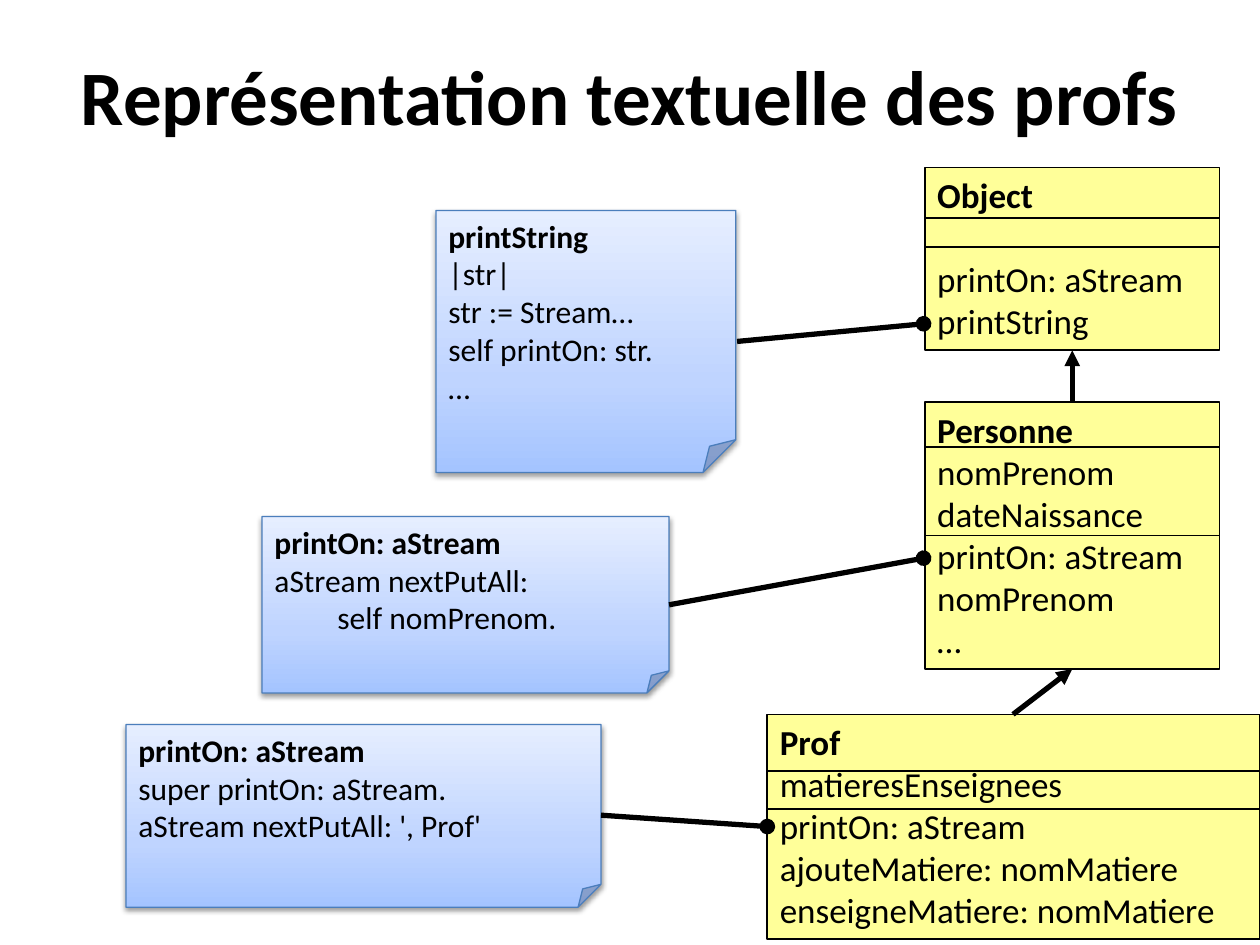
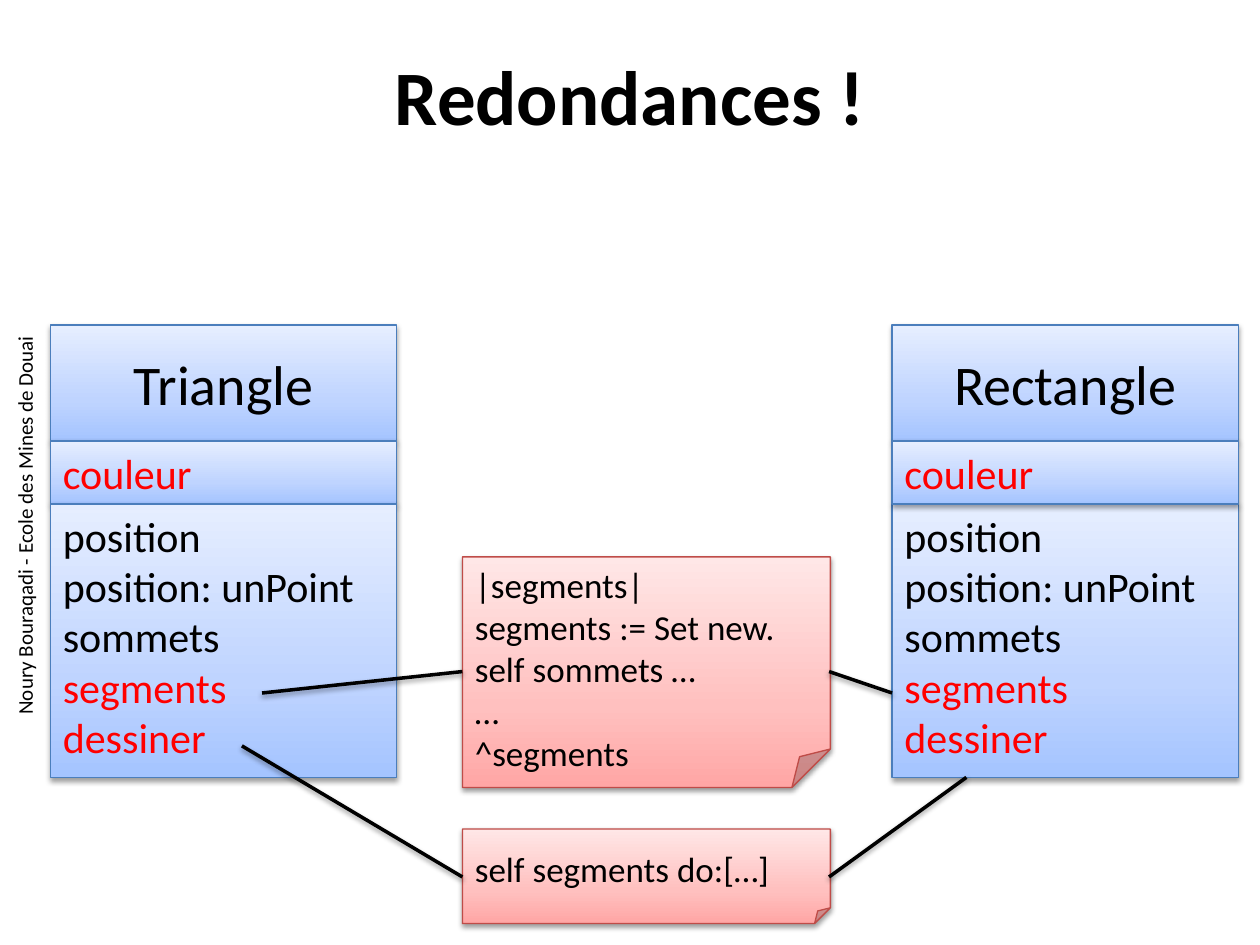
from lxml import etree
from pptx import Presentation
from pptx.dml.color import RGBColor
from pptx.enum import shapes, text
from pptx.oxml.ns import qn
from pptx.util import Inches, Pt

FONT = "Calibri"
COLORS = {"text": "000000", "shared": "FF0000", "uml": "FFFF99",
          "blue_line": "4B7EBC", "red_line": "BF4C48"}
GRADIENTS = {
    "blue": ((0, "A4C4FF"), (35, "BFD4FF"), (100, "E6EEFF")),
    "red": ((0, "FFA6A5"), (35, "FFC0BF"), (100, "FFE7E7")),
}
RECT = shapes.MSO_SHAPE.RECTANGLE
NOTE = shapes.MSO_SHAPE.FOLDED_CORNER
TOP, MIDDLE = text.MSO_ANCHOR.TOP, text.MSO_ANCHOR.MIDDLE

# Slide 1: (box, lines, indented line)
METHOD_NOTES = [
    ((3.46, 1.67, 2.38, 2.08),
     ["printString", "|str|", "str := Stream…", "self printOn: str.", "…"], None),
    ((2.08, 4.1, 3.23, 1.4),
     ["printOn: aStream", "aStream nextPutAll:", "self nomPrenom."], 2),
    ((1, 5.75, 3.77, 1.45),
     ["printOn: aStream", "super printOn: aStream.", "aStream nextPutAll: ', Prof'"], None),
]
# (box, top and height of the attribute compartment, lines, line after an empty compartment)
UML_CLASSES = [
    ((7.34, 1.33, 2.34, 1.45), (1.73, 0.23),
     ["Object", "printOn: aStream", "printString"], 1),
    ((7.34, 3.19, 2.34, 2.12), (3.55, 0.7),
     ["Personne", "nomPrenom", "dateNaissance", "printOn: aStream", "nomPrenom", "…"], None),
    ((6.09, 5.67, 3.91, 1.78), (6.12, 0.3),
     ["Prof", "matieresEnseignees", "printOn: aStream", "ajouteMatiere: nomMatiere",
      "enseigneMatiere: nomMatiere"], None),
]
INHERITANCE = [(8.04, 5.67, 8.51, 5.31), (8.51, 3.19, 8.51, 2.78)]
METHOD_LINKS = [(7.33, 2.57, 5.85, 2.71), (7.33, 4.43, 5.31, 4.8), (6.09, 6.56, 4.77, 6.47)]

# Slide 2
AUTHOR = "Noury Bouraqadi - Ecole des Mines de Douai"
FIELDS = ["couleur"]
METHODS = ["position", "position: unPoint", "sommets", "segments", "dessiner"]
REDUNDANT = {"couleur", "segments", "dessiner"}
CLASS_WIDTH = 2.75
# (name, left, sections from back to front)
FIGURES = [("Triangle", 0.4, ("name", "fields", "methods")),
           ("Rectangle", 7.08, ("name", "methods", "fields"))]
CODE_NOTES = [
    ((3.67, 4.42, 2.92, 1.83),
     ["|segments|", "segments := Set new.", "self sommets …", "…", "^segments"], TOP),
    ((3.67, 6.58, 2.92, 0.75), ["self segments do:[…]"], MIDDLE),
]
CODE_LINKS = [(2.08, 5.5, 3.67, 5.33), (6.58, 5.33, 7.08, 5.5),
              (6.58, 6.96, 7.67, 6.17), (3.67, 6.96, 1.92, 5.92)]


def rgb(name):
    return RGBColor.from_string(COLORS[name])


def add_xml(parent, tag, **attrs):
    return etree.SubElement(parent, qn(tag), {k: str(v) for k, v in attrs.items()})


def set_effects(s, shadow):
    """Give a shape or connector the soft shadow, or no effect at all."""
    effects = add_xml(s._element.spPr, "a:effectLst")
    if shadow:
        outer = add_xml(effects, "a:outerShdw", blurRad=Pt(3.1), dist=Pt(1.6),
                        dir=90 * 60000, rotWithShape=0)
        color = add_xml(outer, "a:srgbClr", val=COLORS["text"])
        add_xml(color, "a:alpha", val=38000)


def set_gradient(s, name):
    s.fill.gradient()
    s.fill.gradient_angle = 90
    stops = s._element.spPr.find(".//" + qn("a:gsLst"))
    for stop in list(stops):
        stops.remove(stop)
    for pos, color in GRADIENTS[name]:
        add_xml(add_xml(stops, "a:gs", pos=pos * 1000), "a:srgbClr", val=color)


def set_fold(s, ratio):
    """Set the folded corner's size, which python-pptx does not list as an adjustment."""
    guides = s._element.spPr.prstGeom.get_or_add_avLst()
    add_xml(guides, "a:gd", name="adj", fmla=f"val {round(ratio * 100000)}")


def write(s, lines, size, anchor=TOP, centered=False, bold_first=False):
    tf = s.text_frame
    tf.word_wrap = True
    tf.vertical_anchor = anchor
    tf.text = "\n".join(lines)
    for i, p in enumerate(tf.paragraphs):
        p.alignment = text.PP_ALIGN.CENTER if centered else text.PP_ALIGN.LEFT
        font = p.runs[0].font
        font.name, font.size = FONT, Pt(size)
        font.bold = bold_first and i == 0
        font.color.rgb = rgb("shared" if p.text in REDUNDANT else "text")
    return tf.paragraphs


def add_text(slide, box, line, size, bold=False):
    s = slide.shapes.add_textbox(*map(Inches, box))
    write(s, [line], size, MIDDLE, centered=True, bold_first=bold)
    return s


def add_gradient_box(slide, kind, box, color):
    s = slide.shapes.add_shape(kind, *map(Inches, box))
    set_gradient(s, color)
    s.line.color.rgb = rgb(color + "_line")
    s.line.width = Pt(0.75)
    set_effects(s, shadow=True)
    return s


def add_uml_box(slide, box, filled):
    s = slide.shapes.add_shape(RECT, *map(Inches, box))
    if filled:
        s.fill.solid()
        s.fill.fore_color.rgb = rgb("uml")
    else:
        s.fill.background()
    s.line.color.rgb = rgb("text")
    s.line.width = Pt(1)
    set_effects(s, shadow=False)
    return s


def add_link(slide, ends, width, head=None, tail=None, shadow=False):
    c = slide.shapes.add_connector(shapes.MSO_CONNECTOR.STRAIGHT, *map(Inches, ends))
    c.line.color.rgb = rgb("text")
    c.line.width = Pt(width)
    ln = c.line._get_or_add_ln()
    for tag, kind in (("a:headEnd", head), ("a:tailEnd", tail)):
        if kind:
            add_xml(ln, tag, type=kind)
    set_effects(c, shadow)


def add_slide(prs, title):
    slide = prs.slides.add_slide(prs.slide_layouts[6])
    add_text(slide, (0, 0, 10, 1.5), title, 44, bold=True)
    return slide


def build_text_representation(prs):
    slide = add_slide(prs, "Représentation textuelle des profs")
    for box, lines, indented in METHOD_NOTES:
        s = add_gradient_box(slide, NOTE, box, "blue")
        set_fold(s, 0.125)
        paragraphs = write(s, lines, 18, bold_first=True)
        if indented is not None:
            paragraphs[indented]._p.get_or_add_pPr().set("marL", str(Inches(0.5)))
    for box, (top, height), lines, spaced in UML_CLASSES:
        paragraphs = write(add_uml_box(slide, box, filled=True), lines, 20, bold_first=True)
        if spaced is not None:
            paragraphs[spaced].space_before = Pt(24)
        add_uml_box(slide, (box[0], top, box[2], height), filled=False)
    for ends in INHERITANCE:
        add_link(slide, ends, 3, tail="triangle")
    for ends in METHOD_LINKS:
        add_link(slide, ends, 3, head="oval")


def build_redundancies(prs):
    slide = add_slide(prs, "Redondances !")
    add_text(slide, (-1.97, 3.97, 4.33, 0.4), AUTHOR, 12).rotation = 270
    for name, left, order in FIGURES:
        # section: top, height, lines, size, anchor, centered
        sections = {"name": (2.58, 0.92, [name], 32, MIDDLE, True),
                    "fields": (3.5, 0.5, FIELDS, 24, MIDDLE, False),
                    "methods": (4, 2.17, METHODS, 24, TOP, False)}
        for section in order:
            top, height, *content = sections[section]
            box = (left, top, CLASS_WIDTH, height)
            write(add_gradient_box(slide, RECT, box, "blue"), *content)
    for box, lines, anchor in CODE_NOTES:
        write(add_gradient_box(slide, NOTE, box, "red"), lines, 20, anchor)
    for ends in CODE_LINKS:
        add_link(slide, ends, 2, shadow=True)


def main():
    prs = Presentation()
    prs.slide_width, prs.slide_height = Inches(10), Inches(7.5)
    build_text_representation(prs)
    build_redundancies(prs)
    prs.save("out.pptx")


if __name__ == "__main__":
    main()
